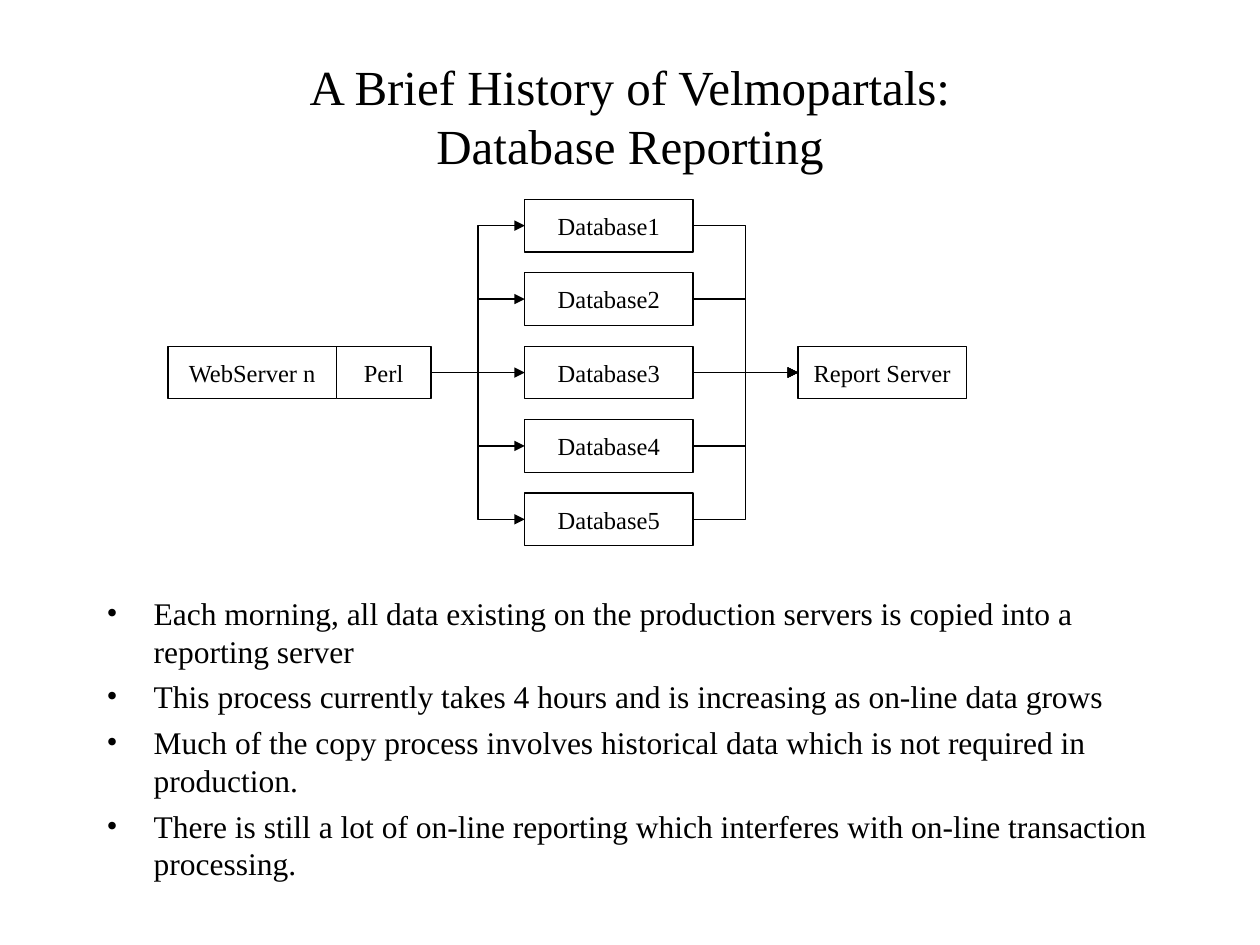
from lxml import etree
from pptx import Presentation
from pptx import util as u
from pptx.dml.color import RGBColor
from pptx.enum import shapes, text
from pptx.oxml.ns import qn

COLORS = {"ink": "000000", "paper": "FFFFFF"}
FONT = "Times New Roman"

POINTS = [
    "Each morning, all data existing on the production servers is copied into a reporting server",
    "This process currently takes 4 hours and is increasing as on-line data grows",
    "Much of the copy process involves historical data which is not required in production.",
    "There is still a lot of on-line reporting which interferes with on-line transaction processing.",
]


def color(name):
    return RGBColor.from_string(COLORS[name])


class Deck:
    def __init__(self):
        self.prs = Presentation()
        self.prs.slide_width = u.Cm(25.4)
        self.prs.slide_height = u.Cm(19.05)
        self.slide = self.prs.slides.add_slide(self.prs.slide_layouts[5])

    def style(self, para, size):
        para.font.name = FONT
        para.font.size = u.Pt(size)
        para.font.color.rgb = color("ink")

    def title(self, words, x, y, w, h):
        shape = self.slide.shapes.title
        shape.left, shape.top = u.Cm(x), u.Cm(y)
        shape.width, shape.height = u.Cm(w), u.Cm(h)
        frame = shape.text_frame
        frame.text = words
        frame.auto_size = text.MSO_AUTO_SIZE.NONE
        frame.vertical_anchor = text.MSO_ANCHOR.MIDDLE
        para = frame.paragraphs[0]
        para.alignment = text.PP_ALIGN.CENTER
        self.style(para, 28)

    def box(self, words, x, y, w=3.39, h=1.06):
        shape = self.slide.shapes.add_shape(
            shapes.MSO_SHAPE.FLOWCHART_PROCESS, u.Cm(x), u.Cm(y), u.Cm(w), u.Cm(h))
        shape.shadow.inherit = False
        shape.fill.solid()
        shape.fill.fore_color.rgb = color("paper")
        shape.line.color.rgb = color("ink")
        shape.line.width = u.Pt(0.75)
        frame = shape.text_frame
        frame.text = words
        frame.word_wrap = False
        frame.vertical_anchor = text.MSO_ANCHOR.MIDDLE
        para = frame.paragraphs[0]
        para.alignment = text.PP_ALIGN.CENTER
        self.style(para, 14)
        return shape

    def arrow(self, start, end):
        """Join the right side of start to the left side of end."""
        level = start.top == end.top
        kind = shapes.MSO_CONNECTOR.STRAIGHT if level else shapes.MSO_CONNECTOR.ELBOW
        link = self.slide.shapes.add_connector(kind, 0, 0, 0, 0)
        link.begin_connect(start, 3)
        link.end_connect(end, 1)
        link.line.color.rgb = color("ink")
        link.line.width = u.Pt(0.75)
        props = link._element.spPr
        etree.SubElement(props.get_or_add_ln(), qn("a:tailEnd"), type="triangle")
        etree.SubElement(props, qn("a:effectLst"))

    def bullets(self, items, x, y, w, h):
        shape = self.slide.shapes.add_textbox(u.Cm(x), u.Cm(y), u.Cm(w), u.Cm(h))
        frame = shape.text_frame
        frame.word_wrap = True
        frame.text = "\n".join(items)
        for para in frame.paragraphs:
            para.space_before = u.Pt(4.5)
            self.style(para, 18)
            props = para._p.get_or_add_pPr()
            props.set("marL", str(u.Cm(0.95)))
            props.set("indent", str(u.Cm(-0.95)))
            fonts = props.find(qn("a:defRPr"))
            fonts.addprevious(etree.Element(qn("a:buFont"), typeface=FONT))
            fonts.addprevious(etree.Element(qn("a:buChar"), char="•"))


def main():
    deck = Deck()
    deck.title("A Brief History of Velmopartals:\vDatabase Reporting", 1.9, 1.27, 21.6, 2.12)

    # Servers on either side of the databases
    top, step = 4.02, 1.48
    mid = top + 2 * step
    deck.box("WebServer n", 3.39, mid)
    perl = deck.box("Perl", 6.78, mid, w=1.91)
    report = deck.box("Report Server", 16.09, mid)

    # Column of databases, each fed by Perl and read by the report server
    for i in range(5):
        base = deck.box(f"Database{i + 1}", 10.58, top + i * step)
        deck.arrow(perl, base)
        deck.arrow(base, report)

    # Notes below the diagram
    deck.bullets(POINTS, 1.9, 11.85, 21.6, 6.14)
    deck.prs.save("out.pptx")


if __name__ == "__main__":
    main()
